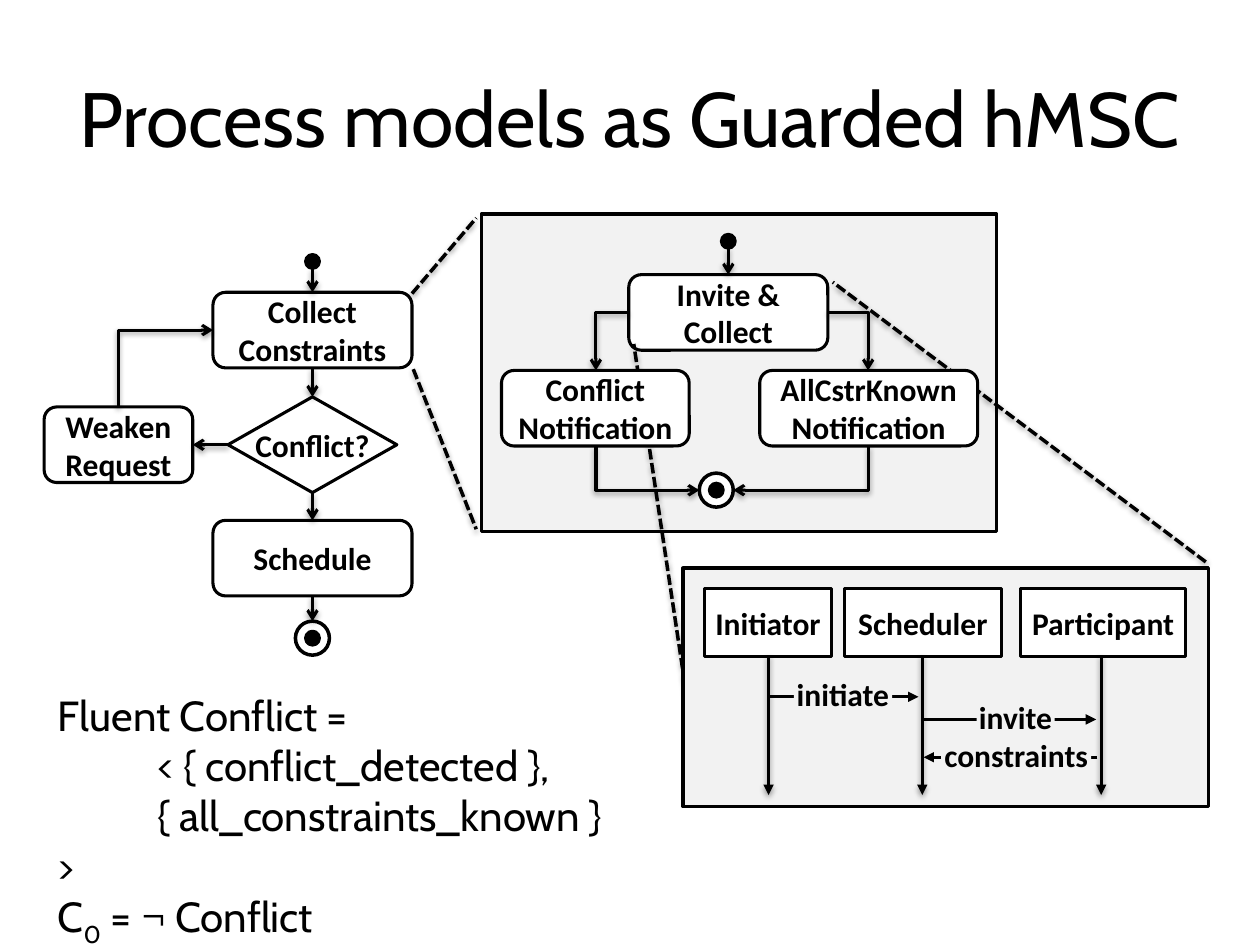
import pptx
import pptx.util
import pptx.dml.color
import pptx.enum.dml
import pptx.enum.shapes
import pptx.enum.text
import pptx.oxml
import pptx.oxml.ns

SHAPE = pptx.enum.shapes.MSO_SHAPE
CONNECTOR = pptx.enum.shapes.MSO_CONNECTOR
ANCHOR = pptx.enum.text.MSO_ANCHOR
ALIGN = pptx.enum.text.PP_ALIGN
BLACK, WHITE, PANEL = "000000", "FFFFFF", "F2F2F2"
BOX_HEIGHT = 6
DOT, RING = 1.1, 2.7


def color(hex_string):
    return pptx.dml.color.RGBColor.from_string(hex_string)


def grid(cells):
    """Turn grid cells into a length; the slide is 100 columns by 75 rows."""
    return pptx.util.Inches(cells / 10)


def add_xml(parent, xml):
    parent.append(pptx.oxml.parse_xml(
        xml.replace("/>", f" {pptx.oxml.ns.nsdecls('a')}/>", 1) if xml.endswith("/>")
        else xml.replace(">", f" {pptx.oxml.ns.nsdecls('a')}>", 1)))


class Diagram:
    title_font = "Cabin"
    label_font = "Calibri"
    label_size = 18
    thin, thick = 1.75, 2
    shadow = ('<a:effectLst><a:outerShdw blurRad="40000" dist="20000" dir="5400000" '
              'rotWithShape="0"><a:srgbClr val="000000"><a:alpha val="38000"/>'
              '</a:srgbClr></a:outerShdw></a:effectLst>')

    def __init__(self, slide):
        self.slide = slide

    def set_font(self, paragraph, name, size, bold=False):
        paragraph.font.name = name
        paragraph.font.size = pptx.util.Pt(size)
        paragraph.font.bold = bold
        paragraph.font.color.rgb = color(BLACK)

    def text(self, left, top, width, height, size, wrap=True):
        """Add an empty text box and return its text frame."""
        box = self.slide.shapes.add_textbox(*map(grid, (left, top, width, height)))
        box.text_frame.word_wrap = wrap
        box.text_frame.paragraphs[0].font.size = pptx.util.Pt(size)
        return box.text_frame

    def title(self, text):
        frame = self.text(5, 3, 90, 12.5, 44)
        frame.vertical_anchor = ANCHOR.MIDDLE
        frame.text = text
        frame.paragraphs[0].alignment = ALIGN.CENTER
        self.set_font(frame.paragraphs[0], self.title_font, 44)

    def definition(self, left, top, width, height, lines):
        """Each line is an indent and its runs; every second run is a subscript."""
        frame = self.text(left, top, width, height, 24, wrap=False)
        for index, (indent, runs) in enumerate(lines):
            paragraph = frame.add_paragraph() if index else frame.paragraphs[0]
            paragraph.alignment = ALIGN.LEFT
            properties = paragraph._p.get_or_add_pPr()
            properties.set("marL", str(grid(indent)))
            properties.set("indent", "0")
            for position, text in enumerate(runs):
                run = paragraph.add_run()
                run.text = text
                if position % 2:
                    run._r.get_or_add_rPr().set("baseline", "-25000")
            self.set_font(paragraph, self.title_font, 24)

    def shape(self, kind, left, top, width, height, text="", fill=WHITE,
              line=thin, insets=None, wrap=False):
        shape = self.slide.shapes.add_shape(kind, *map(grid, (left, top, width, height)))
        shape.shadow.inherit = False
        shape.fill.solid()
        shape.fill.fore_color.rgb = color(fill)
        if line:
            shape.line.color.rgb = color(BLACK)
            shape.line.width = pptx.util.Pt(line)
        else:
            shape.line.fill.background()
        if text:
            frame = shape.text_frame
            frame.word_wrap = wrap
            frame.vertical_anchor = ANCHOR.MIDDLE
            if insets:
                frame.margin_left = frame.margin_right = grid(insets[0])
                frame.margin_top = frame.margin_bottom = grid(insets[1])
            frame.text = text
            for paragraph in frame.paragraphs:
                paragraph.alignment = ALIGN.CENTER
                self.set_font(paragraph, self.label_font, self.label_size, bold=True)

    def step(self, left, top, width, text):
        self.shape(SHAPE.ROUNDED_RECTANGLE, left, top, width, BOX_HEIGHT, text)

    def panel(self, left, top, width, height):
        self.shape(SHAPE.RECTANGLE, left, top, width, height, fill=PANEL, line=self.thick)

    def circle(self, x, y, size, fill, line):
        self.shape(SHAPE.OVAL, x - size / 2, y - size / 2, size, size, fill=fill, line=line)

    def start(self, x, y):
        self.circle(x, y, DOT, BLACK, self.thin)

    def end(self, x, y):
        self.circle(x, y, RING, WHITE, self.thick)
        self.start(x, y)

    def line(self, begin, end, head="arrow", width=thin, shadow=True, kind=CONNECTOR.STRAIGHT):
        connector = self.slide.shapes.add_connector(kind, *map(grid, (*begin, *end)))
        connector.line.color.rgb = color(BLACK)
        connector.line.width = pptx.util.Pt(width)
        if head:
            add_xml(connector.line._get_or_add_ln(), f'<a:tailEnd type="{head}"/>')
        add_xml(connector._element.spPr, self.shadow if shadow else "<a:effectLst/>")
        return connector

    def zoom(self, begin, end):
        connector = self.line(begin, end, head=None, width=self.thick)
        connector.line.dash_style = pptx.enum.dml.MSO_LINE.SQUARE_DOT

    def corner(self, begin, end, vertical_first=False):
        """Add an arrow with one bend; one that starts vertically is turned 90 degrees."""
        if vertical_first:
            middle_x, middle_y = (begin[0] + end[0]) / 2, (begin[1] + end[1]) / 2
            half_x, half_y = (end[1] - begin[1]) / 2, (begin[0] - end[0]) / 2
            begin = middle_x - half_x, middle_y - half_y
            end = middle_x + half_x, middle_y + half_y
        properties = self.line(begin, end, kind=CONNECTOR.ELBOW)._element.spPr
        properties.prstGeom.set("prst", "bentConnector2")
        if vertical_first:
            properties.xfrm.set("rot", "5400000")

    def message(self, begin, end, y, left, width, text):
        self.line((begin, y), (end, y), "triangle", shadow=False)
        self.shape(SHAPE.RECTANGLE, left, y - 1.7, width, 3, text, PANEL, None, (0.2, 0))


def draw_process(diagram):
    center = 24.8
    for top, text in ((23.2, "Collect\vConstraints"), (41.3, "Schedule")):
        diagram.step(16.9, top, 15.8, text)
    diagram.step(3.5, 32.3, 11.8, "Weaken\vRequest")
    diagram.shape(SHAPE.DIAMOND, 18.1, 31.5, 13.4, 7.6, "Conflict?")
    diagram.start(center, 20.75)
    diagram.end(center, 50.65)
    for top, bottom in ((21.3, 23.2), (29.2, 31.5), (39.1, 41.3), (47.3, 49.3)):
        diagram.line((center, top), (center, bottom))
    diagram.line((18.1, 35.3), (15.3, 35.3))
    diagram.corner((9.4, 32.3), (16.9, 26.2), vertical_first=True)


def draw_collection(diagram):
    diagram.panel(38.2, 17, 40.9, 25.2)
    diagram.step(49.9, 21.8, 15.8, "Invite &\vCollect")
    diagram.start(57.8, 19.15)
    diagram.line((57.8, 19.7), (57.8, 21.8))
    diagram.end(56.85, 38.9)
    for x, box_side, ring_side in ((47.3, 49.9, 55.5), (68.9, 65.7, 58.2)):
        diagram.corner((box_side, 24.8), (x, 29.4))
        diagram.corner((x, 35.4), (ring_side, 38.9), vertical_first=True)
    diagram.zoom((32.7, 23.3), (37.8, 17.3))
    diagram.zoom((32.8, 29.3), (37.8, 42))
    diagram.zoom((95.7, 44.6), (66.1, 22.4))
    diagram.zoom((55.5, 61.9), (50.3, 27.3))
    diagram.step(39.8, 29.4, 14.9, "Conflict\vNotification")
    diagram.step(60.3, 29.4, 17.3, "AllCstrKnown\nNotification")


def draw_scenario(diagram):
    diagram.panel(54.2, 45.1, 41.7, 18.9)
    lifelines = ((55.9, 10.1, "Initiator", 61), (67, 12.5, "Scheduler", 73.2),
                 (81, 13.1, "Participant", 87.4))
    for left, width, role, x in lifelines:
        diagram.shape(SHAPE.RECTANGLE, left, 46.7, width, 5.4, role, insets=(0.4, 0.4), wrap=True)
        diagram.line((x, 52), (x, 63.1), "triangle")
    diagram.message(61.1, 72.9, 55.3, 63, 7.8, "initiate")
    diagram.message(73.2, 87, 57.1, 77.5, 6.2, "invite")
    diagram.message(87.1, 73.3, 60.1, 74.7, 11.9, "constraints")


def main():
    presentation = pptx.Presentation()
    presentation.slide_width, presentation.slide_height = grid(100), grid(75)
    diagram = Diagram(presentation.slides.add_slide(presentation.slide_layouts[6]))
    diagram.title("Process models as Guarded hMSC")
    diagram.definition(3.6, 54.2, 47.2, 17.2, (
        (0, ["Fluent Conflict ="]),
        (7.9, ["< { conflict_detected },"]),
        (7.9, ["{ all_constraints_known }"]),
        (0, [">"]),
        (0, ["C", "0", " = ¬ Conflict"])))
    draw_process(diagram)
    draw_collection(diagram)
    draw_scenario(diagram)
    presentation.save("out.pptx")


if __name__ == "__main__":
    main()
